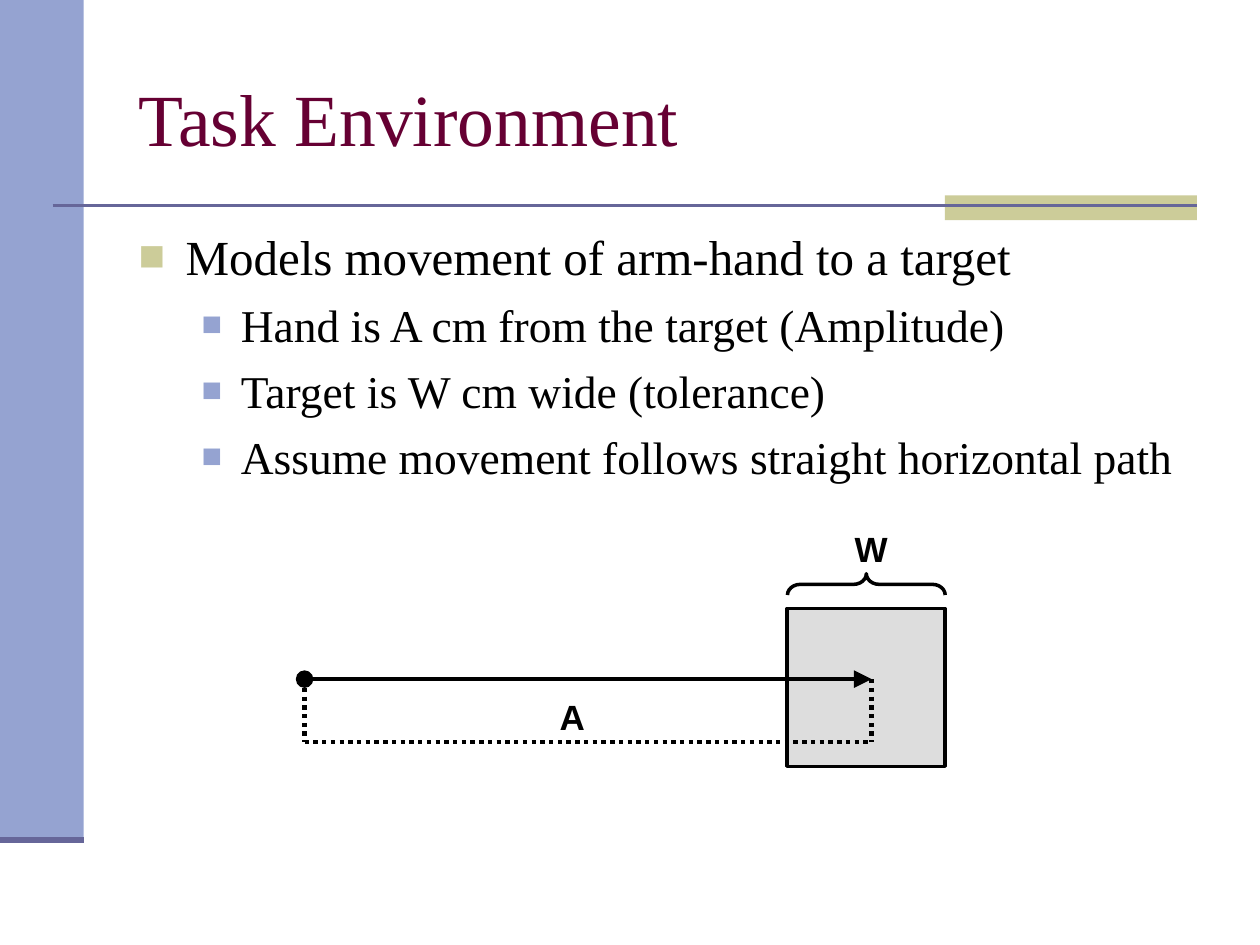
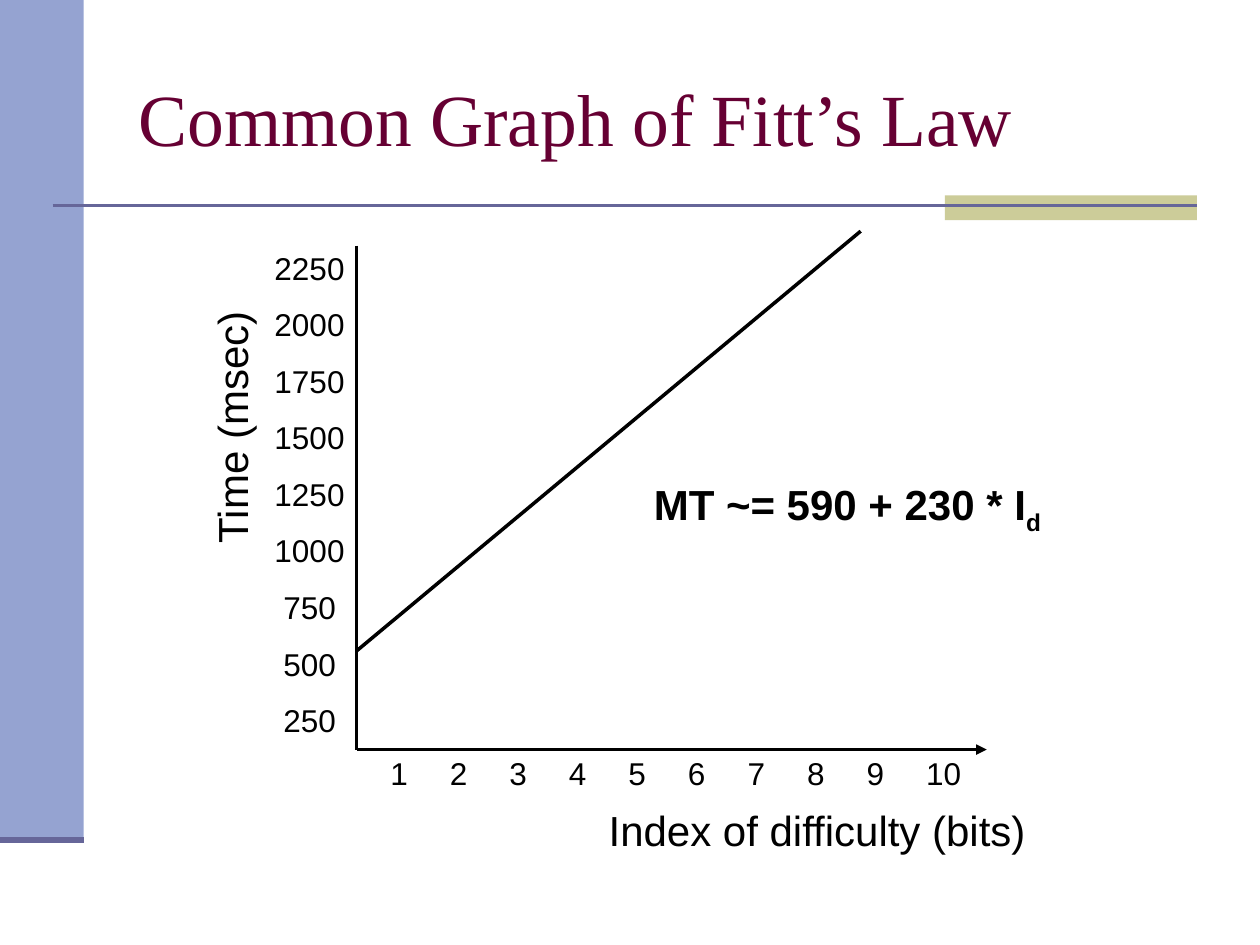
from pptx import Presentation
from pptx.dml.color import RGBColor
from pptx.enum.dml import MSO_LINE
from pptx.enum.shapes import MSO_CONNECTOR, MSO_SHAPE
from pptx.enum.text import MSO_ANCHOR, MSO_AUTO_SIZE, PP_ALIGN
from pptx.oxml.ns import qn
from pptx.util import Cm, Pt
from lxml.etree import SubElement

BLUE = RGBColor(0x95, 0xA3, 0xD1)
OLIVE = RGBColor(0xCC, 0xCC, 0x99)
SLATE = RGBColor(0x66, 0x66, 0x99)
WINE = RGBColor(0x66, 0x00, 0x33)
GRAY = RGBColor(0xDD, 0xDD, 0xDD)
BLACK = RGBColor(0, 0, 0)
SERIF = "Times New Roman"
SANS = "Arial"
LEVELS = [
    (28, 0.95, 0.95, OLIVE, 90),
    (26, 2.06, 0.79, BLUE, 75),
]


def style(font, name, size, color, bold=False):
    font.name = name
    font.size = Pt(size)
    font.color.rgb = color
    font.bold = bold


def place(shape, left, top, width, height):
    shape.left, shape.top = Cm(left), Cm(top)
    shape.width, shape.height = Cm(width), Cm(height)


def block(slide, kind, left, top, width, height, fill=None, edge=None):
    shape = slide.shapes.add_shape(
        kind, Cm(left), Cm(top), Cm(width), Cm(height))
    shape.shadow.inherit = False
    if fill is None:
        shape.fill.background()
    else:
        shape.fill.solid()
        shape.fill.fore_color.rgb = fill
    if edge is None:
        shape.line.fill.background()
    else:
        shape.line.color.rgb = edge
        shape.line.width = Pt(2)
    return shape


def stroke(slide, start, end, width=2, color=BLACK, dash=None,
           head=None, tail=None, size="med"):
    line = slide.shapes.add_connector(
        MSO_CONNECTOR.STRAIGHT, *map(Cm, start + end))
    line.line.color.rgb = color
    line.line.width = Pt(width)
    if dash:
        line.line.dash_style = dash
    props = line.element.spPr
    for tag, kind in (("a:headEnd", head), ("a:tailEnd", tail)):
        if kind:
            SubElement(props.find(qn("a:ln")), qn(tag),
                       type=kind, w=size, len=size)
    SubElement(props, qn("a:effectLst"))
    return line


def label(slide, text, left, top, width, height, size,
          bold=False, align=PP_ALIGN.LEFT):
    box = slide.shapes.add_textbox(
        Cm(left), Cm(top), Cm(width), Cm(height))
    box.text_frame.word_wrap = False
    box.text_frame.auto_size = MSO_AUTO_SIZE.SHAPE_TO_FIT_TEXT
    para = box.text_frame.paragraphs[0]
    para.text = text
    para.alignment = align
    style(para.font, SANS, size, BLACK, bold)
    return box


def frame(deck, slide):
    parts = [
        block(slide, MSO_SHAPE.RECTANGLE, 0, 0, 1.69, 16.93, BLUE),
        block(slide, MSO_SHAPE.RECTANGLE, 19.05, 3.94, 5.08, 0.5, OLIVE),
        stroke(slide, (1.06, 4.14), (24.13, 4.14), 1.5, SLATE),
        stroke(slide, (0, 16.93), (1.69, 16.93), 3.5, SLATE),
    ]
    tree = deck.slide_master.shapes.element
    for index, part in enumerate(parts):
        part.element.xpath(".//p:cNvPr")[0].set("id", str(100 + index))
        tree.insert(2 + index, part.element)


def title(slide, text):
    shape = slide.shapes.title
    place(shape, 2.54, 0.78, 21.59, 3.18)
    shape.text_frame.text = text
    shape.text_frame.vertical_anchor = MSO_ANCHOR.MIDDLE
    para = shape.text_frame.paragraphs[0]
    para.alignment = PP_ALIGN.LEFT
    style(para.font, SERIF, 42, WINE)


def bullet(para, level):
    size, margin, hang, color, scale = LEVELS[level]
    para.level = level
    props = para._p.get_or_add_pPr()
    props.set("marL", str(Cm(margin)))
    props.set("indent", str(-Cm(hang)))
    tint = SubElement(props, qn("a:buClr"))
    SubElement(tint, qn("a:srgbClr"), val=str(color))
    SubElement(props, qn("a:buSzPct"), val=str(scale * 1000))
    SubElement(props, qn("a:buFont"), typeface=SERIF)
    SubElement(props, qn("a:buChar"), char="■")
    style(para.font, SERIF, size, BLACK)


def body(slide, items):
    shape = slide.placeholders[1]
    place(shape, 2.54, 4.44, 21.59, 12.58)
    text = shape.text_frame
    text.auto_size = MSO_AUTO_SIZE.NONE
    text.text = "\n".join(words for level, words in items)
    for index, (para, item) in enumerate(zip(text.paragraphs, items)):
        bullet(para, item[0])
        para.space_before = Pt(6.5 if index else 0)


def target(slide):
    block(slide, MSO_SHAPE.RECTANGLE, 15.87, 12.27, 3.18, 3.18, GRAY, BLACK)
    label(slide, "W", 16.98, 10.5, 1.17, 1.12, 20, True)
    label(slide, "A", 11.03, 13.89, 1.02, 1.12, 20, True)
    brace = block(slide, MSO_SHAPE.RIGHT_BRACE,
                  17.25, 10.19, 0.43, 3.18, edge=BLACK)
    brace.rotation = 270
    brace.adjustments[0] = 0.6
    left, right, top, low = 6.14, 17.57, 13.69, 14.96
    for start, end in (((right, top), (right, low)),
                       ((left, top), (left, low)),
                       ((left, low), (right, low))):
        stroke(slide, start, end, 2.5, dash=MSO_LINE.ROUND_DOT)
    stroke(slide, (left, top), (right, top),
           head="oval", tail="triangle", size="lg")


def graph(slide):
    zero = (7.19, 15.11)
    stroke(slide, (7.19, 4.95), zero)
    stroke(slide, zero, (19.89, 15.11), tail="triangle")
    stroke(slide, (7.19, 13.12), (17.35, 4.66))
    label(slide, "Index of difficulty (bits)", 12.02, 16.1, 8.92, 1.27, 24)
    label(slide, "Time (msec)", 2.06, 7.96, 5.21, 1.27, 24).rotation = 270
    for bits in range(1, 11):
        text = str(bits)
        label(slide, text, 6.42 + 1.2 * bits, 15.08,
              0.5 + 0.36 * len(text), 1.02, 18)
    for step in range(1, 10):
        label(slide, str(250 * step), 5.14, 15.15 - 1.14 * step,
              2.2, 1.02, 18, align=PP_ALIGN.CENTER)
    law = label(slide, "MT ~= 590 + 230 * I", 12.93, 9.53, 8.31, 1.42,
                24, True)
    run = law.text_frame.paragraphs[0].add_run()
    run.text = "d"
    run.font._element.set("baseline", "-25000")


def main():
    deck = Presentation()
    deck.slide_width, deck.slide_height = Cm(25.4), Cm(19.05)
    task = deck.slides.add_slide(deck.slide_layouts[1])
    frame(deck, task)
    title(task, "Task Environment")
    body(task, [
        (0, "Models movement of arm-hand to a target"),
        (1, "Hand is A cm from the target (Amplitude)"),
        (1, "Target is W cm wide (tolerance)"),
        (1, "Assume movement follows straight horizontal path"),
    ])
    target(task)
    law = deck.slides.add_slide(deck.slide_layouts[5])
    title(law, "Common Graph of Fitt’s Law")
    graph(law)
    deck.save("out.pptx")


if __name__ == "__main__":
    main()
